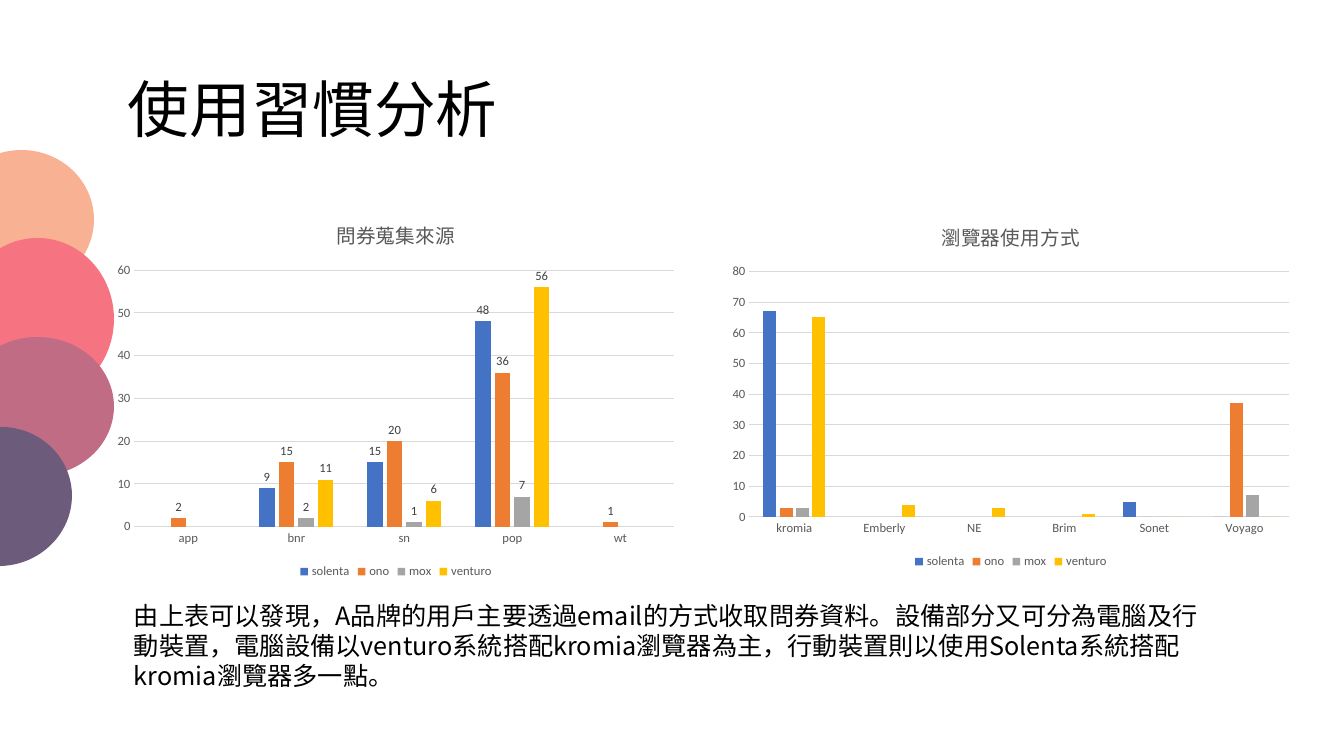
from lxml import etree
from pptx import Presentation
from pptx.chart.data import CategoryChartData
from pptx.dml.color import RGBColor
from pptx.enum.chart import XL_CHART_TYPE, XL_LABEL_POSITION, XL_LEGEND_POSITION, XL_TICK_MARK
from pptx.enum.shapes import MSO_SHAPE
from pptx.enum.text import MSO_ANCHOR
from pptx.oxml.ns import qn
from pptx.util import Emu, Pt

BLACK = RGBColor(0x00, 0x00, 0x00)
GREY = RGBColor(0x59, 0x59, 0x59)
DARK_GREY = RGBColor(0x40, 0x40, 0x40)
LIGHT_GREY = RGBColor(0xD9, 0xD9, 0xD9)
PEACH = RGBColor(0xF9, 0xB1, 0x93)
CORAL = RGBColor(0xF6, 0x73, 0x81)
MAUVE = RGBColor(0xC0, 0x6C, 0x84)
PLUM = RGBColor(0x6D, 0x5B, 0x7B)
BLUE = RGBColor(0x44, 0x72, 0xC4)
ORANGE = RGBColor(0xED, 0x7D, 0x31)
SILVER = RGBColor(0xA5, 0xA5, 0xA5)
GOLD = RGBColor(0xFF, 0xC0, 0x00)

SYSTEMS = [("solenta", BLUE), ("ono", ORANGE), ("mox", SILVER), ("venturo", GOLD)]
CIRCLES = [
    (-51, 150, 145, 139, PEACH, 0),
    (-39, 238, 153, 162, CORAL, 0),
    (-39, 337, 153, 139, MAUVE, 0),
    (-73, 427, 145, 139, PLUM, 351.1),
]
SOURCES = ["app", "bnr", "sn", "pop", "wt"]
SOURCE_COUNTS = [
    (None, 9, 15, 48, None),
    (2, 15, 20, 36, 1),
    (None, 2, 1, 7, None),
    (None, 11, 6, 56, None),
]
BROWSERS = ["kromia", "Emberly", "NE", "Brim", "Sonet", "Voyago"]
BROWSER_COUNTS = [
    (67, None, None, None, 5, 0),
    (3, None, None, None, 0, 37),
    (3, None, None, None, 0, 7),
    (65, 4, 3, 1, 0, 0),
]
SUMMARY = (
    "由上表可以發現，A品牌的用戶主要透過email的方式收取問券資料。"
    "設備部分又可分為電腦及行動裝置，電腦設備以venturo系統搭配kromia瀏覽器為主，"
    "行動裝置則以使用Solenta系統搭配kromia瀏覽器多一點。"
)


def px(n):
    return Emu(round(n * 914400 / 100.8))


class Deck:
    cjk_font = "Noto Sans CJK SC"
    title_font = "Times New Roman"
    chart_font = "Calibri"

    def __init__(self):
        self.prs = Presentation()
        self.prs.slide_width, self.prs.slide_height = px(1344), px(756)
        self.s = self.prs.slides.add_slide(self.prs.slide_layouts[6])

    def style(self, font, size, color, name=None):
        font.name = name or self.chart_font
        font.size = Pt(size)
        font.color.rgb = color

    def circle(self, x, y, w, h, color, rotation):
        sp = self.s.shapes.add_shape(MSO_SHAPE.OVAL, px(x), px(y), px(w), px(h))
        sp.shadow.inherit = False
        sp.rotation = rotation
        sp.fill.solid()
        sp.fill.fore_color.rgb = color
        sp.line.fill.background()

    def text(self, x, y, w, h, text, size, name, anchor=MSO_ANCHOR.TOP, spacing=None):
        tf = self.s.shapes.add_textbox(px(x), px(y), px(w), px(h)).text_frame
        tf.word_wrap = True
        tf.vertical_anchor = anchor
        tf.text = text
        p = tf.paragraphs[0]
        p.line_spacing = spacing
        r = p.runs[0]
        self.style(r.font, size, BLACK, name)
        etree.SubElement(r.font._element, qn("a:ea")).set("typeface", self.cjk_font)

    def chart(self, x, y, w, h, title, categories, counts, labels=False):
        data = CategoryChartData()
        data.categories = categories
        for (name, _), values in zip(SYSTEMS, counts):
            data.add_series(name, values)
        chart = self.s.shapes.add_chart(
            XL_CHART_TYPE.COLUMN_CLUSTERED, px(x), px(y), px(w), px(h), data
        ).chart
        self.style(chart.font, 10, BLACK)

        tf = chart.chart_title.text_frame
        tf.text = title
        r = tf.paragraphs[0].runs[0]
        self.style(r.font, 14, GREY, self.cjk_font)
        r.font.bold = False

        chart.has_legend = True
        chart.legend.position = XL_LEGEND_POSITION.BOTTOM
        chart.legend.include_in_layout = False
        self.style(chart.legend.font, 9, GREY)

        for axis in (chart.category_axis, chart.value_axis):
            axis.major_tick_mark = axis.minor_tick_mark = XL_TICK_MARK.NONE
            self.style(axis.tick_labels.font, 9, GREY)
        chart.value_axis.format.line.fill.background()
        for line in (chart.category_axis.format.line, chart.value_axis.major_gridlines.format.line):
            line.color.rgb = LIGHT_GREY
            line.width = Pt(0.75)

        plot = chart.plots[0]
        plot.gap_width, plot.overlap = 219, -27
        plot.vary_by_categories = False
        for series, (_, color) in zip(plot.series, SYSTEMS):
            series.format.fill.solid()
            series.format.fill.fore_color.rgb = color
            if labels:
                series.data_labels.show_value = True
                series.data_labels.position = XL_LABEL_POSITION.OUTSIDE_END
                self.style(series.data_labels.font, 9, DARK_GREY)


def main():
    deck = Deck()
    for circle in CIRCLES:
        deck.circle(*circle)
    deck.text(118, 40, 1159, 146, "使用習慣分析", 44, deck.title_font, MSO_ANCHOR.MIDDLE, 0.9)
    deck.text(124, 595, 1095, 102, SUMMARY, 18, deck.cjk_font)
    deck.chart(106, 202, 580, 381, "問券蒐集來源", SOURCES, SOURCE_COUNTS, labels=True)
    deck.chart(721, 204, 580, 369, "瀏覽器使用方式", BROWSERS, BROWSER_COUNTS)
    deck.prs.save("out.pptx")


if __name__ == "__main__":
    main()
